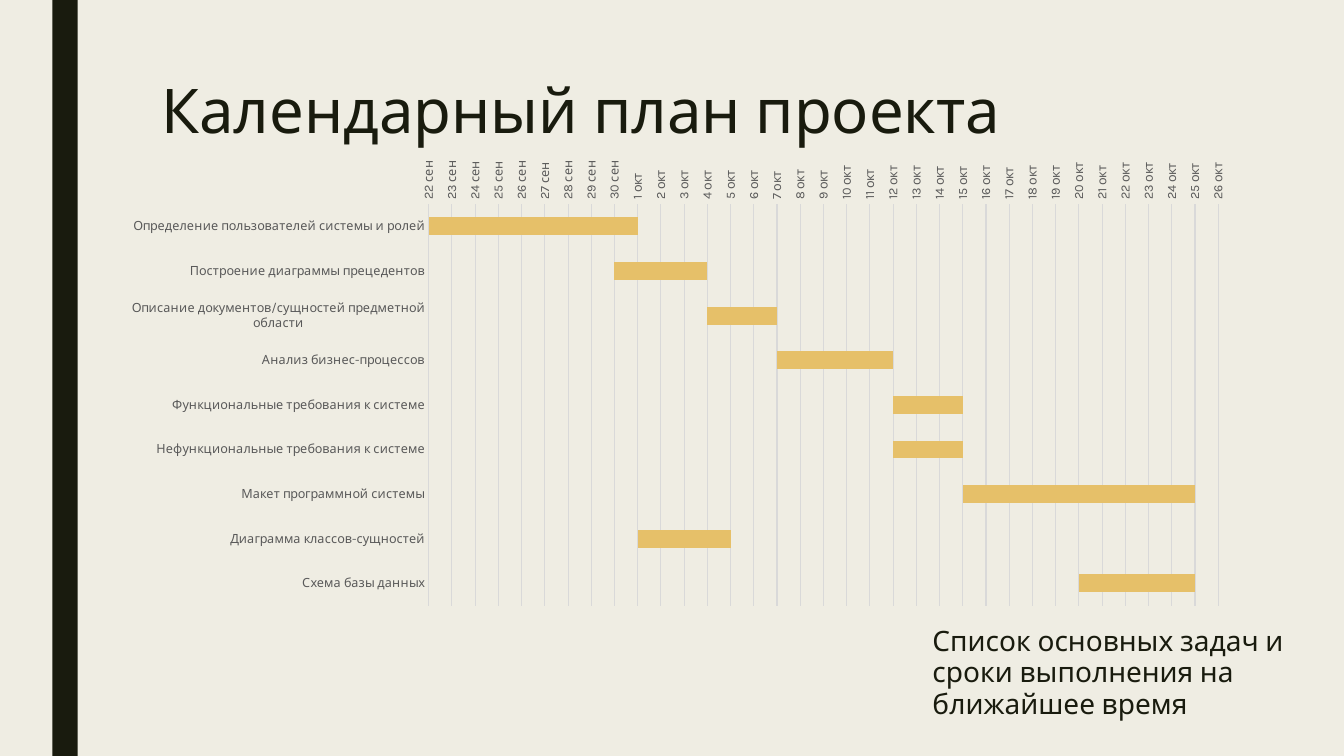
from dataclasses import dataclass

from lxml import etree
from pptx import Presentation
from pptx.chart.chart import Chart
from pptx.chart.data import CategoryChartData
from pptx.dml.color import RGBColor
from pptx.enum.chart import XL_CHART_TYPE as ChartType, XL_TICK_MARK as TickMark
from pptx.enum.shapes import MSO_SHAPE as Preset
from pptx.enum.text import MSO_ANCHOR as Anchor
from pptx.oxml.ns import qn
from pptx.slide import Slide
from pptx.util import Inches, Pt

FONT = "Karla"
PAPER, INK, LABEL, GRID, BAR = "EFEDE3", "191B0E", "595959", "D9D9D9", "E6C069"
FIRST_DAY = 44826  # 22 September 2022 as a spreadsheet date
DAY_COUNT = 34


@dataclass(frozen=True)
class Task:
    name: str
    start: int  # days after FIRST_DAY
    days: int


@dataclass(frozen=True)
class Caption:
    text: str
    left: float
    top: float
    width: float
    height: float
    size: int
    line_spacing: float


TASKS = [
    Task("Определение пользователей системы и ролей", 0, 9),
    Task("Построение диаграммы прецедентов", 8, 4),
    Task("Описание документов/сущностей предметной области", 12, 3),
    Task("Анализ бизнес-процессов", 15, 5),
    Task("Функциональные требования к системе", 20, 3),
    Task("Нефункциональные требования к системе", 20, 3),
    Task("Макет программной системы", 23, 10),
    Task("Диаграмма классов-сущностей", 9, 4),
    Task("Схема базы данных", 28, 5),
]

CAPTIONS = [
    Caption("Календарный план проекта", 1.5, 0.75, 10.5, 1.62, 44, 0.89),
    Caption("Список основных задач и сроки выполнения на ближайшее время",
            9.15, 6.16, 4.18, 1.34, 20, 0.94),
]


def color(value: str) -> RGBColor:
    return RGBColor.from_string(value)


def style_font(font, size: int, value: str) -> None:
    for name, setting in {"name": FONT, "size": Pt(size), "bold": False}.items():
        setattr(font, name, setting)
    font.color.rgb = color(value)


def style_line(line, value: str) -> None:
    line.color.rgb = color(value)
    line.width = Pt(0.75)


def add_caption(page: Slide, caption: Caption) -> None:
    box = page.shapes.add_textbox(Inches(caption.left), Inches(caption.top),
                                  Inches(caption.width), Inches(caption.height))
    frame = box.text_frame
    frame.word_wrap = True
    frame.vertical_anchor = Anchor.TOP
    para = frame.paragraphs[0]
    para.line_spacing = caption.line_spacing
    span = para.add_run()
    span.text = caption.text
    style_font(span.font, caption.size, INK)


def add_side_band(page: Slide) -> None:
    band = page.shapes.add_shape(Preset.RECTANGLE, Inches(0.52), 0,
                                 Inches(0.25), Inches(7.5))
    band.shadow.inherit = False
    band.fill.solid()
    band.fill.fore_color.rgb = color(INK)
    band.line.fill.background()


def fix_plot_area(chart: Chart, x: float, y: float, w: float, h: float) -> None:
    """Place the inner plot area, in fractions of the chart's size."""
    area = chart.plots[0]._element.getparent()
    for old in area.findall(qn("c:layout")):
        area.remove(old)
    layout = etree.Element(qn("c:layout"))
    area.insert(0, layout)
    manual = etree.SubElement(layout, qn("c:manualLayout"))
    settings = {"layoutTarget": "inner", "xMode": "edge", "yMode": "edge",
                "x": x, "y": y, "w": w, "h": h}
    for tag, value in settings.items():
        etree.SubElement(manual, qn(f"c:{tag}")).set("val", str(value))


def style_axes(chart: Chart) -> None:
    tasks, dates = chart.category_axis, chart.value_axis
    for axis in (tasks, dates):
        axis.major_tick_mark = axis.minor_tick_mark = TickMark.NONE
        style_font(axis.tick_labels.font, 9, LABEL)

    tasks.reverse_order = True
    tasks.has_major_gridlines = False
    style_line(tasks.format.line, GRID)

    scale = {"minimum_scale": FIRST_DAY, "maximum_scale": FIRST_DAY + DAY_COUNT,
             "major_unit": 1, "has_major_gridlines": True}
    for name, setting in scale.items():
        setattr(dates, name, setting)
    style_line(dates.major_gridlines.format.line, GRID)
    dates.format.line.fill.background()
    dates.tick_labels.number_format = r"[$-419]d\ mmm;@"
    dates.tick_labels.number_format_is_linked = False
    label_body = dates._element.find(qn("c:txPr")).find(qn("a:bodyPr"))
    label_body.set("rot", "-5400000")
    label_body.set("vert", "horz")


def add_schedule(page: Slide) -> None:
    data = CategoryChartData()
    data.categories = [task.name for task in TASKS]
    data.add_series("Series 1", [FIRST_DAY + task.start for task in TASKS])
    data.add_series("Series 2", [task.days for task in TASKS])
    chart = page.shapes.add_chart(ChartType.BAR_STACKED, Inches(1.1), Inches(1.34),
                                  Inches(11.14), Inches(4.82), data).chart
    chart.has_title = chart.has_legend = False
    style_font(chart.font, 10, "000000")

    plot = chart.plots[0]
    for name, setting in {"gap_width": 150, "overlap": 100,
                          "vary_by_categories": False}.items():
        setattr(plot, name, setting)
    starts, durations = plot.series
    starts.format.fill.background()
    starts.format.line.fill.background()
    durations.format.fill.solid()
    durations.format.fill.fore_color.rgb = color(BAR)

    style_axes(chart)
    fix_plot_area(chart, 0.283, 0.142, 0.703, 0.827)


def main() -> None:
    deck = Presentation()
    deck.slide_width, deck.slide_height = Inches(13.33), Inches(7.5)
    page = deck.slides.add_slide(deck.slide_layouts[6])
    page.background.fill.solid()
    page.background.fill.fore_color.rgb = color(PAPER)
    add_side_band(page)
    for caption in CAPTIONS:
        add_caption(page, caption)
    add_schedule(page)
    deck.save("out.pptx")


if __name__ == "__main__":
    main()
